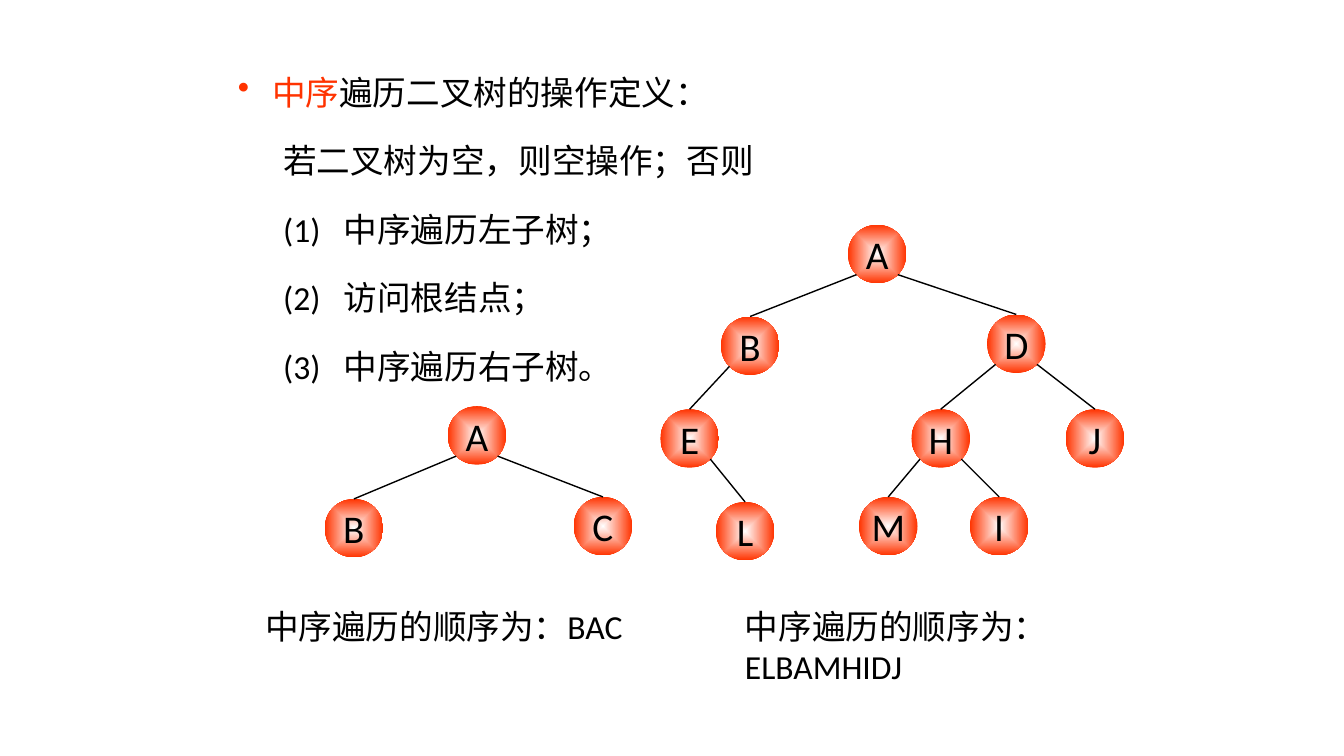
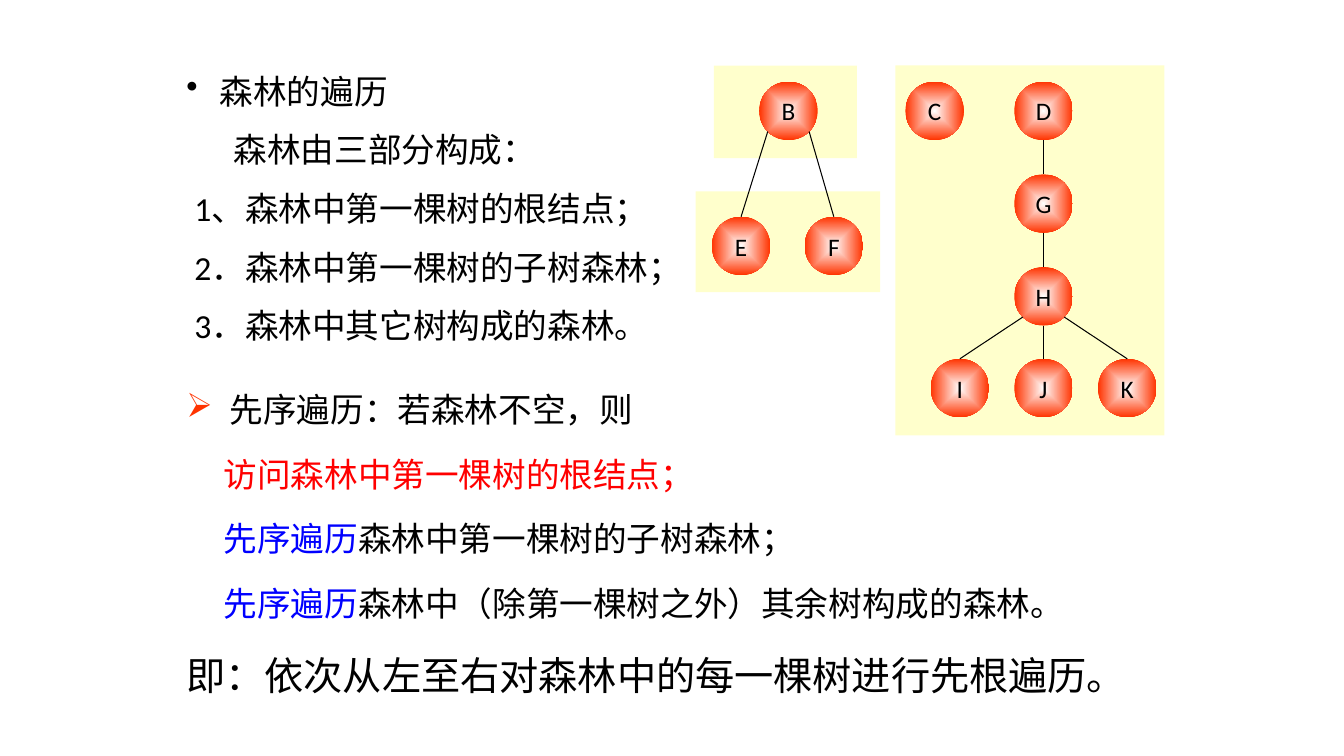
import dataclasses
import math

import pptx
import pptx.dml.color
import pptx.enum.shapes
import pptx.enum.text
import pptx.oxml
import pptx.oxml.ns
import pptx.util
from lxml import etree

EMU_PER_PX = 9144
qn = pptx.oxml.ns.qn


@dataclasses.dataclass(frozen=True)
class Theme:
    font: str = "Calibri"
    list_font: str = "Noto Sans CJK SC"
    black: str = "000000"
    accent: str = "FF3300"
    red: str = "FF0000"
    blue: str = "0000FF"
    white: str = "FFFFFF"
    panel: str = "FFFFCC"
    body: int = 24
    large: int = 28
    small: int = 18
    node: int = 58


THEME = Theme()


@dataclasses.dataclass(frozen=True)
class Run:
    text: str
    color: str = THEME.black
    font: str = THEME.font


@dataclasses.dataclass(frozen=True)
class Line:
    runs: tuple
    left: int = 0
    hang: int = 0
    bullet: str = ""
    bullet_color: str = THEME.black


def px(length):
    return pptx.util.Emu(round(length * EMU_PER_PX))


def rgb(color):
    return pptx.dml.color.RGBColor.from_string(color)


def add_run(paragraph, content, size):
    run = paragraph.add_run()
    run.text = content.text
    run.font.size = pptx.util.Pt(size)
    run.font.color.rgb = rgb(content.color)
    run.font.name = content.font
    properties = run._r.get_or_add_rPr()
    etree.SubElement(properties, qn("a:ea")).set("typeface", THEME.font)


def format_line(paragraph, line):
    properties = paragraph._p.get_or_add_pPr()
    properties.set("marL", str(px(line.left)))
    properties.set("indent", str(px(-line.hang)))
    if line.bullet:
        bullet_color = etree.SubElement(properties, qn("a:buClr"))
        etree.SubElement(bullet_color, qn("a:srgbClr")).set("val", line.bullet_color)
        etree.SubElement(properties, qn("a:buChar")).set("char", line.bullet)
    else:
        etree.SubElement(properties, qn("a:buNone"))


def add_text(slide, box, lines, size=THEME.body, spacing=1.0):
    frame = slide.shapes.add_textbox(*map(px, box)).text_frame
    frame.word_wrap = True
    for index, line in enumerate(lines):
        paragraph = frame.add_paragraph() if index else frame.paragraphs[0]
        format_line(paragraph, line)
        paragraph.line_spacing = spacing
        for content in line.runs:
            add_run(paragraph, content, size)


def fill_radial(shape):
    shape.fill.background()
    gradient = pptx.oxml.parse_xml(
        f'<a:gradFill {pptx.oxml.ns.nsdecls("a")} rotWithShape="1"><a:gsLst>'
        f'<a:gs pos="0"><a:srgbClr val="{THEME.white}"/></a:gs>'
        f'<a:gs pos="100000"><a:srgbClr val="{THEME.accent}"/></a:gs></a:gsLst>'
        '<a:path path="shape"><a:fillToRect l="50000" t="50000" r="50000" b="50000"/>'
        '</a:path></a:gradFill>'
    )
    properties = shape._element.spPr
    properties.replace(properties.find(qn("a:noFill")), gradient)


def add_node(shapes, left, top, label, size):
    shape = shapes.add_shape(
        pptx.enum.shapes.MSO_SHAPE.OVAL, px(left), px(top), px(THEME.node), px(THEME.node)
    )
    shape.shadow.inherit = False
    shape.line.fill.background()
    fill_radial(shape)
    frame = shape.text_frame
    frame.word_wrap = False
    frame.margin_left = frame.margin_right = frame.margin_top = frame.margin_bottom = 0
    frame.vertical_anchor = pptx.enum.text.MSO_ANCHOR.MIDDLE
    paragraph = frame.paragraphs[0]
    paragraph.alignment = pptx.enum.text.PP_ALIGN.CENTER
    add_run(paragraph, Run(label), size)


def add_edge(shapes, parent, child, width):
    radius = THEME.node / 2
    side = (child[0] > parent[0]) - (child[0] < parent[0])
    diagonal = radius * math.sqrt(0.5)
    start_x = parent[0] + radius + side * diagonal
    start_y = parent[1] + radius + (diagonal if side else radius)
    connector = shapes.add_connector(
        pptx.enum.shapes.MSO_CONNECTOR.STRAIGHT,
        px(start_x), px(start_y), px(child[0] + radius), px(child[1]),
    )
    connector.line.color.rgb = rgb(THEME.black)
    connector.line.width = pptx.util.Pt(width)
    etree.SubElement(connector._element.spPr, qn("a:effectLst"))


def add_tree(slide, origin, nodes, edges, size, width):
    shapes = slide.shapes.add_group_shape().shapes
    places = {
        label: (origin[0] + left, origin[1] + top) for label, (left, top) in nodes.items()
    }
    for label, (left, top) in places.items():
        add_node(shapes, left, top, label, size)
    for parent, child in edges.split():
        add_edge(shapes, places[parent], places[child], width)


def add_panel(slide, origin, left, top, width, height):
    panel = slide.shapes.add_shape(
        pptx.enum.shapes.MSO_SHAPE.RECTANGLE,
        px(origin[0] + left), px(origin[1] + top), px(width), px(height),
    )
    panel.shadow.inherit = False
    panel.fill.solid()
    panel.fill.fore_color.rgb = rgb(THEME.panel)
    panel.line.fill.background()


def add_forest(slide, origin):
    for panel in ((198, 0, 267, 367), (18, 0, 142, 92), (0, 125, 183, 100)):
        add_panel(slide, origin, *panel)
    nodes = {
        "B": (63, 16), "C": (208, 16), "D": (316, 16), "E": (16, 150), "F": (108, 150),
        "G": (316, 108), "H": (316, 200),
        "I": (233, 291), "J": (316, 291), "K": (399, 291),
    }
    add_tree(slide, origin, nodes, "BE BF DG GH HI HJ HK", THEME.small, 0.75)


def add_inorder_definition(slide, box):
    steps = ("(1)\t中序遍历左子树；", "(2)\t访问根结点；", "(3)\t中序遍历右子树。")
    lines = [
        Line((Run("中序", THEME.accent), Run("遍历二叉树的操作定义：")),
             34, 34, "•", THEME.accent),
        Line((Run("若二叉树为空，则空操作；否则"),), 45),
    ]
    lines += [Line((Run(step),), 105, 60) for step in steps]
    add_text(slide, box, lines, spacing=1.7)


def add_forest_parts(slide, box):
    left, top, width, height = box
    lines = [
        Line((Run("森林的遍历"),), 33, 33, "•"),
        Line((Run("森林由三部分构成："),), 47),
    ]
    for number, text in (
        ("1", "、森林中第一棵树的根结点；"),
        ("2", "．森林中第一棵树的子树森林；"),
        ("3", "．森林中其它树构成的森林。"),
    ):
        lines.append(Line((Run(number), Run(text, font=THEME.list_font)), 8))
    pitch = height / len(lines)
    for index, line in enumerate(lines):
        add_text(slide, (left, top + index * pitch, width, 50), [line])


def add_preorder_definition(slide, box):
    lines = [
        Line((Run("先序遍历：若森林不空，则"),), 43, 43, "➢", THEME.accent),
        Line((Run("访问森林中第一棵树的根结点；", THEME.red),), 37),
    ]
    for rest in ("森林中第一棵树的子树森林；", "森林中（除第一棵树之外）其余树构成的森林。"):
        lines.append(Line((Run("先序遍历", THEME.blue), Run(rest)), 37))
    add_text(slide, box, lines, spacing=1.6)


def build_inorder_slide(slide):
    add_inorder_definition(slide, (226, 38, 548, 349))
    caption = "中序遍历的顺序为："
    add_text(slide, (253, 596, 425, 50), [Line((Run(caption + "BAC"),))])
    add_text(slide, (729, 596, 358, 91), [Line((Run(caption),)), Line((Run("ELBAMHIDJ"),))])
    small_tree = {"A": (122, 0), "B": (0, 92), "C": (247, 90)}
    add_tree(slide, (322, 403), small_tree, "AB AC", THEME.large, 1)
    large_tree = {
        "A": (186, 0), "B": (60, 91), "D": (324, 89), "E": (0, 183), "H": (249, 183),
        "J": (402, 183), "L": (55, 275), "M": (197, 270), "I": (307, 270),
    }
    add_tree(slide, (655, 223), large_tree, "AB AD BE EL DH DJ HM HI", THEME.large, 1)


def build_forest_slide(slide):
    add_preorder_definition(slide, (175, 357, 916, 266))
    add_forest(slide, (690, 65))
    add_forest_parts(slide, (175, 65, 517, 291))
    closing = Line((Run("即：依次从左至右对森林中的每一棵树进行先根遍历。"),))
    add_text(slide, (175, 630, 967, 64), [closing], THEME.large, 1.25)


def main():
    presentation = pptx.Presentation()
    presentation.slide_width = px(1333)
    presentation.slide_height = px(750)
    for build in (build_inorder_slide, build_forest_slide):
        build(presentation.slides.add_slide(presentation.slide_layouts[6]))
    presentation.save("out.pptx")


if __name__ == "__main__":
    main()
